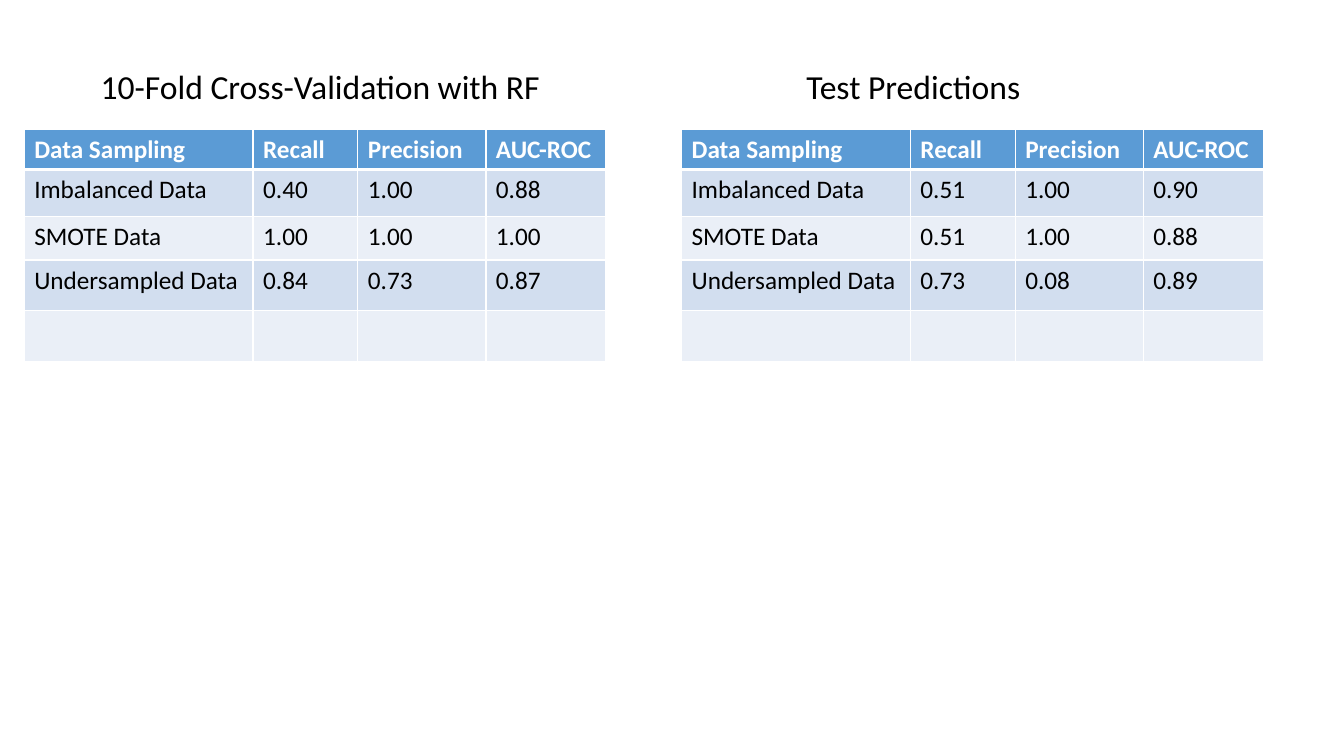
from lxml import etree
from pptx import Presentation
from pptx.dml.color import RGBColor
from pptx.enum.text import MSO_AUTO_SIZE
from pptx.oxml.ns import qn
from pptx.util import Inches, Pt

FIT_SHAPE = MSO_AUTO_SIZE.SHAPE_TO_FIT_TEXT
FONT = "Calibri"
WHITE, BLACK = "FFFFFF", "000000"
HEADER_FILL = "5B9BD5"
BAND_FILLS = ("EAEFF7", "D2DEEF")
TABLE_TOP = 1.28
COLUMN_WIDTHS = (2.27, 1.04, 1.27, 1.19)
ROW_HEIGHTS = (0.39, 0.47, 0.43, 0.5, 0.51)
HEADERS = ("Data Sampling", "Recall", "Precision", "AUC-ROC")
SAMPLINGS = ("Imbalanced Data", "SMOTE Data", "Undersampled Data")
VALIDATION_SCORES = (
    ("0.40", "1.00", "0.88"),
    ("1.00", "1.00", "1.00"),
    ("0.84", "0.73", "0.87"),
)
TEST_SCORES = (
    ("0.51", "1.00", "0.90"),
    ("0.51", "1.00", "0.88"),
    ("0.73", "0.08", "0.89"),
)


def color(hex_value):
    """Turn a hex string into a colour."""
    return RGBColor.from_string(hex_value)


def write(paragraph, text, size, hex_value, bold=False):
    """Put styled text into a paragraph."""
    paragraph.text = text
    font = paragraph.font
    font.name, font.size, font.bold = FONT, Pt(size), bold
    font.color.rgb = color(hex_value)


def add_heading(page, text, left, width):
    """Add the heading above a table."""
    box = page.shapes.add_textbox(
        Inches(left), Inches(0.6), Inches(width), Inches(0.5))
    box.text_frame.word_wrap = True
    box.text_frame.auto_size = FIT_SHAPE
    write(box.text_frame.paragraphs[0], text, 24, BLACK)


def set_borders(cell, top, bottom):
    """Draw white cell borders, with the top and bottom widths in points."""
    properties = cell._tc.get_or_add_tcPr()
    for side, width in (("L", 1), ("R", 1), ("T", top), ("B", bottom)):
        line = etree.SubElement(properties, qn(f"a:ln{side}"), w=str(Pt(width)))
        fill = etree.SubElement(line, qn("a:solidFill"))
        etree.SubElement(fill, qn("a:srgbClr"), val=WHITE)


def style_cell(cell, text, row):
    """Fill, border and write a cell according to its row."""
    is_header = row == 0
    set_borders(cell, top=3 if row == 1 else 1, bottom=3 if is_header else 1)
    cell.fill.solid()
    cell.fill.fore_color.rgb = color(
        HEADER_FILL if is_header else BAND_FILLS[row % 2])
    write(cell.text_frame.paragraphs[0], text, 18,
          WHITE if is_header else BLACK, is_header)


def add_score_table(page, left, scores):
    """Add a table of scores by sampling method, closed by an empty row."""
    body = [(name, *values) for name, values in zip(SAMPLINGS, scores)]
    rows = [HEADERS, *body, ("",) * len(HEADERS)]
    table = page.shapes.add_table(
        len(rows), len(HEADERS), Inches(left), Inches(TABLE_TOP),
        Inches(sum(COLUMN_WIDTHS)), Inches(sum(ROW_HEIGHTS))).table
    for column, width in zip(table.columns, COLUMN_WIDTHS):
        column.width = Inches(width)
    for row, height in zip(table.rows, ROW_HEIGHTS):
        row.height = Inches(height)
    for row_index, texts in enumerate(rows):
        for column_index, text in enumerate(texts):
            style_cell(table.cell(row_index, column_index), text, row_index)


def main():
    """Build the slide comparing validation and test scores."""
    deck = Presentation()
    deck.slide_width, deck.slide_height = Inches(13.33), Inches(7.5)
    page = deck.slides.add_slide(deck.slide_layouts[6])
    add_heading(page, "10-Fold Cross-Validation with RF", 0.9, 5.63)
    add_heading(page, "Test Predictions", 7.9, 3.5)
    add_score_table(page, 0.24, VALIDATION_SCORES)
    add_score_table(page, 6.76, TEST_SCORES)
    deck.save("out.pptx")


main()
